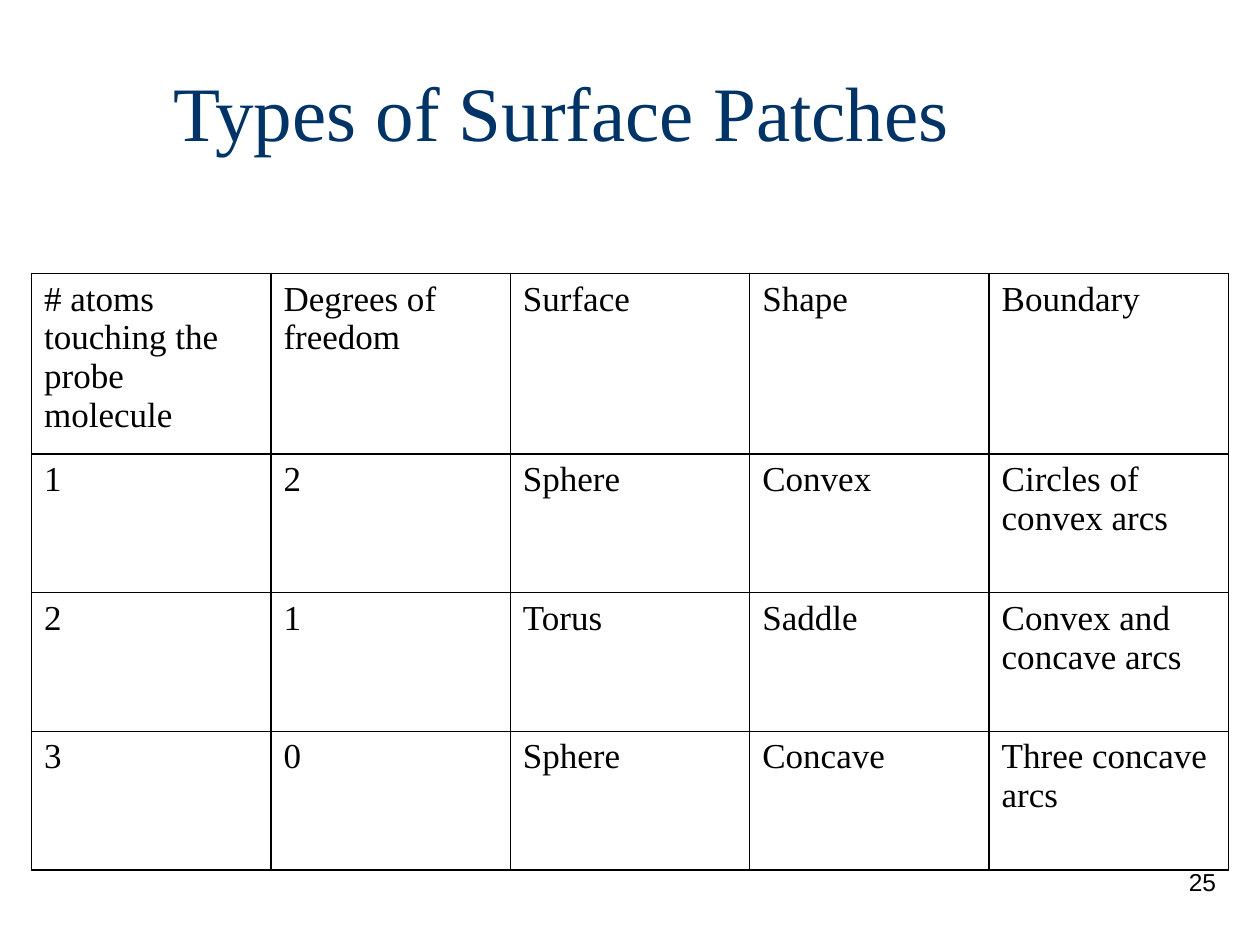
from dataclasses import dataclass

from lxml.etree import SubElement
from pptx import Presentation
from pptx.dml.color import RGBColor
from pptx.enum.text import MSO_ANCHOR as Anchor, PP_ALIGN as Align
from pptx.oxml.ns import qn
from pptx.util import Inches, Pt


@dataclass(frozen=True)
class Theme:
    title_color: str = "003366"
    text_color: str = "000000"
    border_color: str = "000000"
    background: str = "FFFFFF"
    serif: str = "Times New Roman"
    sans: str = "Arial"
    title_size: int = 44
    table_size: int = 20
    number_size: int = 14
    border_width: int = 1


THEME = Theme()

PATCH_TYPES = [
    ["# atoms touching the probe molecule", "Degrees of freedom", "Surface", "Shape", "Boundary"],
    ["1", "2", "Sphere", "Convex", "Circles of convex arcs"],
    ["2", "1", "Torus", "Saddle", "Convex and concave arcs"],
    ["3", "0", "Sphere", "Concave", "Three concave arcs"],
]
COLUMN_WIDTH = 1.9
HEADER_HEIGHT = 1.43
ROW_HEIGHT = 1.1


def write_text(frame, text, font_name, size, color, align=Align.LEFT):
    frame.text = text
    para = frame.paragraphs[0]
    para.alignment = align
    font = para.runs[0].font
    font.name, font.size, font.bold = font_name, Pt(size), False
    font.color.rgb = RGBColor.from_string(color)


def add_text(page, area, text, *style, align=Align.LEFT, anchor=Anchor.TOP):
    box = page.shapes.add_textbox(*map(Inches, area))
    box.text_frame.word_wrap = True
    box.text_frame.vertical_anchor = anchor
    write_text(box.text_frame, text, *style, align=align)


def add_borders(cell):
    properties = cell._tc.get_or_add_tcPr()
    for tag in ("a:lnL", "a:lnR", "a:lnT", "a:lnB"):
        line = SubElement(properties, qn(tag), w=str(Pt(THEME.border_width)))
        fill = SubElement(line, qn("a:solidFill"))
        SubElement(fill, qn("a:srgbClr"), val=THEME.border_color)


def add_patch_table(page, left, top):
    row_count, column_count = len(PATCH_TYPES), len(PATCH_TYPES[0])
    heights = [HEADER_HEIGHT] + [ROW_HEIGHT] * (row_count - 1)
    area = (left, top, COLUMN_WIDTH * column_count, sum(heights))
    table = page.shapes.add_table(row_count, column_count, *map(Inches, area)).table
    table.first_row = table.horz_banding = False
    for column in table.columns:
        column.width = Inches(COLUMN_WIDTH)
    for row, height, texts in zip(table.rows, heights, PATCH_TYPES):
        row.height = Inches(height)
        for cell, text in zip(row.cells, texts):
            # Borders come before the fill in the cell properties
            add_borders(cell)
            cell.fill.background()
            write_text(cell.text_frame, text, THEME.serif, THEME.table_size, THEME.text_color)


def main():
    deck = Presentation()
    deck.slide_width, deck.slide_height = Inches(10), Inches(7.5)
    page = deck.slides.add_slide(deck.slide_layouts[6])
    page.background.fill.solid()
    page.background.fill.fore_color.rgb = RGBColor.from_string(THEME.background)

    # Page number
    add_text(page, (7.67, 6.83, 2.08, 0.5), "25", THEME.sans, THEME.number_size,
             THEME.text_color, align=Align.RIGHT)

    # Title
    add_text(page, (1.28, 0.25, 8.5, 1.25), "Types of Surface Patches", THEME.serif,
             THEME.title_size, THEME.title_color, anchor=Anchor.MIDDLE)

    # Table of patch types
    add_patch_table(page, 0.25, 2.17)

    deck.save("out.pptx")


if __name__ == "__main__":
    main()
